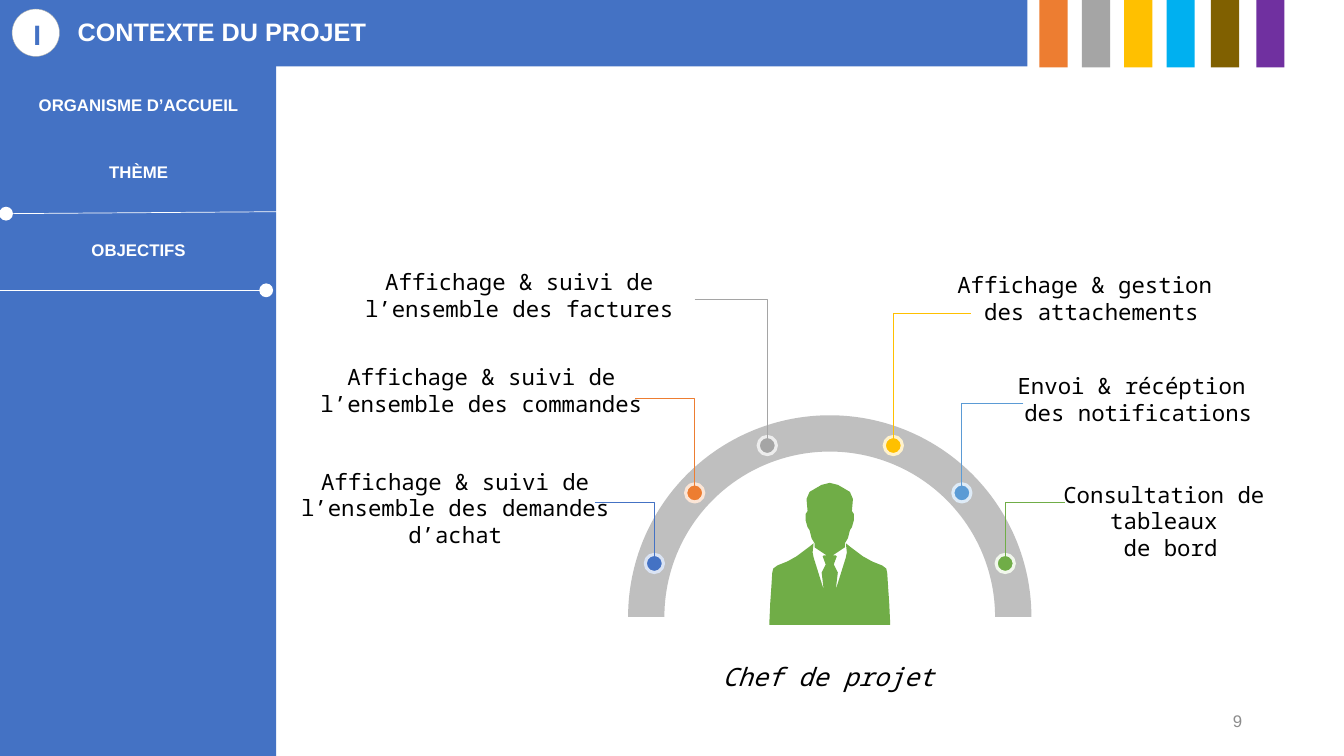
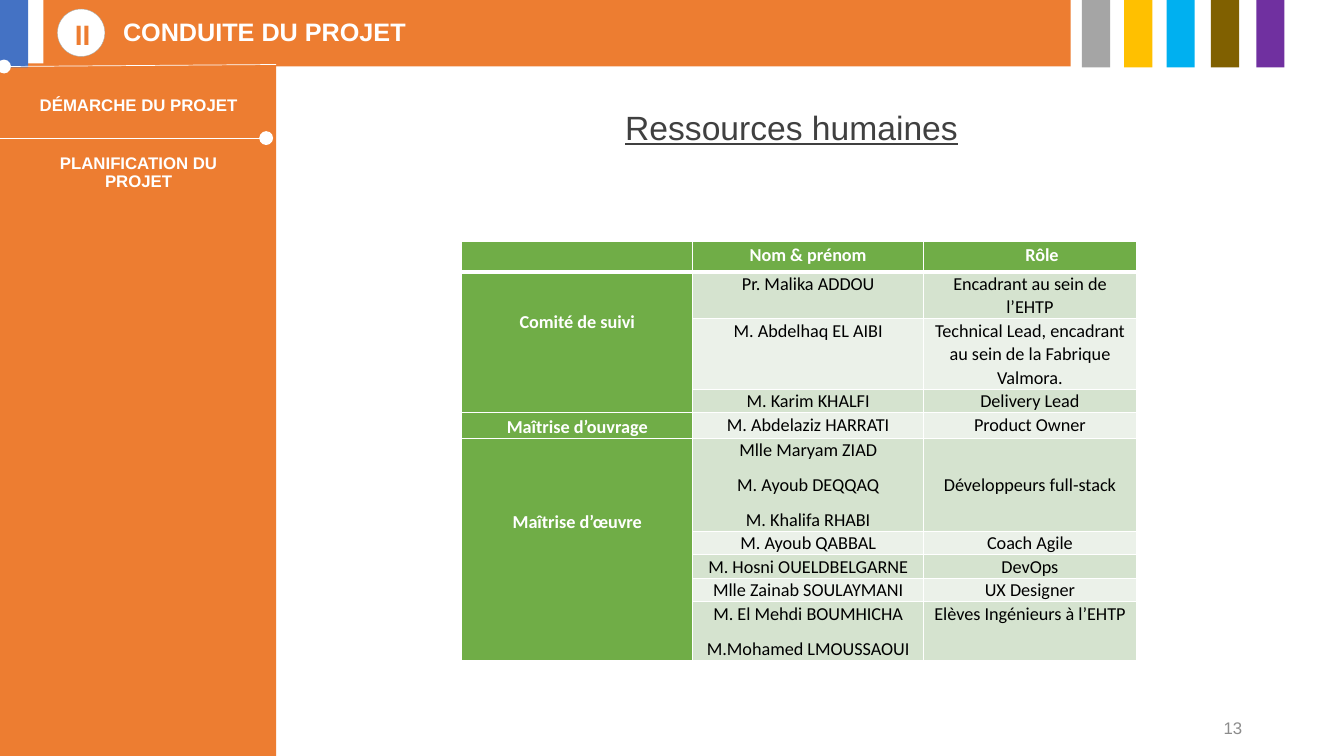
from lxml import etree
from pptx import Presentation
from pptx.dml.color import RGBColor
from pptx.enum import shapes, text
from pptx.oxml import ns
from pptx.util import Inches, Pt

BLUE, ORANGE, GREY, YELLOW = "4472C4", "ED7D31", "A5A5A5", "FFC000"
GREEN, LIGHT_BLUE, WHITE, BLACK = "70AD47", "5B9BD5", "FFFFFF", "000000"
SECTIONS = [BLUE, ORANGE, GREY, YELLOW, "00B0F0", "806000", "7030A0"]
STRIPE_LEFTS = [0, 10.31, 10.73, 11.15, 11.57, 12.01, 12.46]
BANDS = ["D5E3CF", "EBF1E9"]
SLIM = (0.02, 0.02, 0.02, 0.02)
ROOMY = (0.1, 0.05, 0.1, 0.05)
LEFT, CENTER, RIGHT = text.PP_ALIGN.LEFT, text.PP_ALIGN.CENTER, text.PP_ALIGN.RIGHT
TOP, MIDDLE = text.MSO_ANCHOR.TOP, text.MSO_ANCHOR.MIDDLE
RECT, OVAL = shapes.MSO_SHAPE.RECTANGLE, shapes.MSO_SHAPE.OVAL

# label, label box, dot centre, dot colour, halo, end of the leader line
TASKS = [
    ("Affichage & suivi de l’ensemble des demandes d’achat",
     (2.58, 4.59, 3.87, 0.91), (6.49, 5.59), BLUE, "DAE3F3", (5.9, 4.98)),
    ("Affichage & suivi de l’ensemble des commandes",
     (2.94, 3.55, 3.67, 0.64), (6.89, 4.89), ORANGE, "FBE5D6", (6.3, 3.95)),
    ("Affichage & suivi de l’ensemble des factures",
     (3.16, 2.61, 3.98, 0.64), (7.61, 4.42), GREY, "EDEDED", (6.89, 2.97)),
    ("Affichage & gestion \ndes attachements",
     (8.23, 2.64, 5.19, 0.64), (8.86, 4.42), YELLOW, "FFF2CC", (9.63, 3.11)),
    ("Envoi & récéption \ndes notifications",
     (9.11, 3.64, 4.36, 0.64), (9.54, 4.89), LIGHT_BLUE, "DEEBF7", (10.15, 4)),
    ("Consultation de \ntableaux \nde bord",
     (9.69, 4.72, 3.84, 0.91), (9.97, 5.59), GREEN, "F1F7EC", (10.56, 4.98)),
]

# right half of the figure: distance from its axis, height on the slide
FIGURE_AXIS = 8.23
FIGURE_HALF = [
    (0, 4.79), (0.08, 4.81), (0.15, 4.85), (0.2, 4.88), (0.23, 4.95), (0.22, 5.07),
    (0.24, 5.1), (0.24, 5.16), (0.22, 5.23), (0.2, 5.26), (0.18, 5.34), (0.15, 5.39),
    (0.15, 5.43), (0.03, 5.51), (0.06, 5.51), (0.07, 5.52), (0.04, 5.6), (0.08, 5.68),
    (0.06, 5.85), (0.16, 5.53), (0.17, 5.48), (0.16, 5.39), (0.21, 5.43), (0.33, 5.52),
    (0.42, 5.57), (0.52, 5.61), (0.56, 5.64), (0.57, 5.68), (0.58, 5.84), (0.59, 5.98),
    (0.6, 6.2),
]

ROW_HEIGHTS = [0.27, 0.46, 0.69, 0.23, 0.25, 0.92, 0.23, 0.23, 0.23, 0.58]
# people, role, space above the role
MEMBERS = [
    ("Pr. Malika ADDOU", "Encadrant au sein de l’EHTP", 0),
    ("M. Abdelhaq EL AIBI",
     "Technical Lead, encadrant au sein de la Fabrique Valmora.", 0),
    ("M. Karim KHALFI", "Delivery Lead", 0),
    ("M. Abdelaziz HARRATI", "Product Owner", 0),
    ("Mlle Maryam ZIAD\nM. Ayoub DEQQAQ\nM. Khalifa RHABI",
     "Développeurs full-stack", 0.34),
    ("M. Ayoub QABBAL", "Coach Agile", 0),
    ("M. Hosni OUELDBELGARNE", "DevOps", 0),
    ("Mlle Zainab SOULAYMANI", "UX Designer", 0),
    ("M. El Mehdi BOUMHICHA\nM.Mohamed LMOUSSAOUI", "Elèves Ingénieurs à l’EHTP", 0),
]
# group, first row, last row, space above the name
GROUPS = [
    ("Comité de suivi", 1, 3, 0.36),
    ("Maîtrise d’ouvrage", 4, 4, 0),
    ("Maîtrise d’œuvre", 5, 9, 0.69),
]


def rgb(value):
    return RGBColor.from_string(value)


def inches(values):
    return [Inches(v) for v in values]


def write(tf, words, size, color, align=CENTER, spacing=1.0, after=0, **font):
    """Fill a text frame; each line of words becomes a paragraph."""
    tf.text = words
    for p in tf.paragraphs:
        p.alignment, p.line_spacing, p.space_after = align, spacing, Pt(after)
        p.space_before = Pt(0)
        for r in p.runs:
            r.font.size, r.font.color.rgb = Pt(size), rgb(color)
            for name, value in {"name": "Arial", **font}.items():
                setattr(r.font, name, value)


def frame(sp, anchor, insets):
    tf = sp.text_frame
    tf.word_wrap, tf.auto_size = True, text.MSO_AUTO_SIZE.NONE
    tf.vertical_anchor = anchor
    tf.margin_left, tf.margin_top, tf.margin_right, tf.margin_bottom = inches(insets)
    return tf


def add_text(s, box, words, size, color, anchor=MIDDLE, insets=ROOMY, **style):
    sp = s.shapes.add_textbox(*inches(box))
    write(frame(sp, anchor, insets), words, size, color, **style)


def paint(sp, fill, line=None, width=0.0):
    sp.shadow.inherit = False
    sp.fill.solid()
    sp.fill.fore_color.rgb = rgb(fill)
    if line:
        sp.line.color.rgb, sp.line.width = rgb(line), Pt(width)
    else:
        sp.line.fill.background()


def add_shape(s, kind, box, fill, line=None, width=0.0):
    sp = s.shapes.add_shape(kind, *inches(box))
    paint(sp, fill, line, width)
    return sp


def add_line(s, kind, start, end, color):
    line = s.shapes.add_connector(kind, *inches(start + end))
    line.line.color.rgb, line.line.width = rgb(color), Pt(0.5)
    etree.SubElement(line.element.spPr, ns.qn("a:effectLst"))
    return line


def add_divider(s, start, end):
    """White rule that starts with a round dot."""
    line = add_line(s, shapes.MSO_CONNECTOR.STRAIGHT, start, end, WHITE)
    ln = line.element.spPr.find(ns.qn("a:ln"))
    etree.SubElement(ln, ns.qn("a:headEnd"), type="oval", w="lg", len="lg")


def add_leader(s, label_end, dot, color):
    """Elbow that runs level from the label, then down into the dot."""
    line = add_line(s, shapes.MSO_CONNECTOR.ELBOW, label_end, dot, color)
    geometry = line.element.spPr.find(ns.qn("a:prstGeom"))
    guides = geometry.find(ns.qn("a:avLst"))
    etree.SubElement(guides, ns.qn("a:gd"), name="adj1", fmla="val 100000")


def add_section_slide(prs, index, numeral, title, topics, page, page_top):
    """Slide with the side bar, title band and stripes of its section."""
    s = prs.slides.add_slide(prs.slide_layouts[5])
    color, shift = SECTIONS[index], 0.45 * index
    add_shape(s, RECT, (0, 0.63, 2.74, 6.9), color)
    band = add_shape(s, RECT, (0.43 * index, -0.01, 10.19, 0.67), color)
    for i, (left, stripe) in enumerate(zip(STRIPE_LEFTS, SECTIONS)):
        if i != index:
            add_shape(s, RECT, (left, 0, 0.28, 0.67), stripe)

    sp = s.shapes.title
    band.element.addnext(sp.element)
    sp.left, sp.top, sp.width, sp.height = inches((0.75 + shift, 0.18, 5.18, 0.31))
    write(frame(sp, MIDDLE, SLIM), title, 18, WHITE, align=LEFT, spacing=0.9, bold=True)

    add_shape(s, OVAL, (0.12 + shift, 0.09, 0.47, 0.47), WHITE, "A6AAA9", 0.25)
    add_text(s, (0.1 + shift, 0.19, 0.54, 0.35), numeral, 20, color,
             insets=SLIM, spacing=0.9, bold=True)
    for topic, middle in topics:
        add_text(s, (0.23, middle - 0.15, 2.29, 0.3), topic, 12, WHITE,
                 spacing=0.9, bold=True)
    add_text(s, (9.42, page_top, 3, 0.4), page, 12, "8C8C8C", align=RIGHT)
    return s


def add_figure(s):
    mirrored = [(-x, y) for x, y in reversed(FIGURE_HALF)]
    points = [inches((FIGURE_AXIS + x, y)) for x, y in FIGURE_HALF + mirrored]
    outline = s.shapes.build_freeform(*points[0], scale=1.0)
    outline.add_line_segments(points[1:], close=True)
    paint(outline.convert_to_shape(), GREEN)


def add_objectives(s):
    add_figure(s)
    arch = add_shape(s, shapes.MSO_SHAPE.BLOCK_ARC, (6.23, 4.12, 4, 4), "BFBFBF")
    arch.adjustments[2] = 0.09
    for label, box, (x, y), color, halo, label_end in TASKS:
        add_shape(s, OVAL, (x - 0.09, y - 0.09, 0.18, 0.18), color, halo, 2.25)
        add_leader(s, label_end, (x, y), color)
        add_text(s, box, label, 16, BLACK, anchor=TOP, name="Noto Sans Mono")
    add_text(s, (6.98, 6.51, 2.47, 0.4), "Chef de projet", 18, BLACK, anchor=TOP,
             name="Noto Sans Mono", italic=True)


def format_cell(cell, fill, bottom=1):
    """Fill a cell and give it white borders; bottom is the lower width."""
    tc_pr = cell._tc.get_or_add_tcPr()
    for side, width in {"L": 1, "R": 1, "T": 1, "B": bottom}.items():
        ln = etree.SubElement(tc_pr, ns.qn("a:ln" + side), w=str(Pt(width)))
        solid = etree.SubElement(ln, ns.qn("a:solidFill"))
        etree.SubElement(solid, ns.qn("a:srgbClr"), val=WHITE)
    cell.fill.solid()
    cell.fill.fore_color.rgb = rgb(fill)
    cell.margin_left = cell.margin_right = Inches(0.07)
    cell.margin_top = cell.margin_bottom = 0


def write_cell(cell, words, head=False, above=0.0):
    cell.margin_top = Inches(above)
    write(cell.text_frame, words, 13, WHITE if head else BLACK, after=8,
          spacing=1.15 if head else 1.06, name="Calibri", bold=head)


def add_team_table(s):
    box = inches((4.58, 2.39, 6.69, sum(ROW_HEIGHTS)))
    table = s.shapes.add_table(len(ROW_HEIGHTS), 3, *box).table
    table.first_row = table.horz_banding = False
    for column, width in zip(table.columns, (2.29, 2.29, 2.11)):
        column.width = Inches(width)
    for i, height in enumerate(ROW_HEIGHTS):
        table.rows[i].height = Inches(height)
        for j in range(3):
            fill = BANDS[(i - 1) % 2] if i and j else GREEN
            format_cell(table.cell(i, j), fill, 1 if i else 3)

    for j, heading in enumerate(("Nom & prénom", "Rôle"), 1):
        write_cell(table.cell(0, j), heading, head=True)
    table.cell(0, 2).margin_left = Inches(0.31)
    for i, (people, role, above) in enumerate(MEMBERS, 1):
        write_cell(table.cell(i, 1), people)
        write_cell(table.cell(i, 2), role, above=above)
    for group, first, last, above in GROUPS:
        cell = table.cell(first, 0)
        if last > first:
            cell.merge(table.cell(last, 0))
        write_cell(cell, group, head=True, above=above)


def main():
    prs = Presentation()
    prs.slide_width, prs.slide_height = Inches(13.33), Inches(7.5)

    topics = [("ORGANISME D’ACCUEIL", 1.05), ("THÈME", 1.72), ("OBJECTIFS", 2.49)]
    s = add_section_slide(prs, 0, "I", "CONTEXTE DU PROJET", topics, "9", 6.95)
    add_divider(s, (2.64, 2.88), (0, 2.88))
    add_divider(s, (0.06, 2.12), (2.76, 2.1))
    add_objectives(s)

    topics = [("DÉMARCHE DU PROJET", 1.05), ("PLANIFICATION DU PROJET", 1.72)]
    s = add_section_slide(prs, 1, "II", "CONDUITE DU PROJET", topics, "13", 7.02)
    add_divider(s, (2.64, 1.37), (0, 1.37))
    add_divider(s, (0.04, 0.66), (2.74, 0.64))
    add_team_table(s)
    add_text(s, (3.4, 1.05, 8.9, 0.47), "Ressources humaines", 24, "404040",
             spacing=0.9, underline=True)

    prs.save("out.pptx")


if __name__ == "__main__":
    main()
